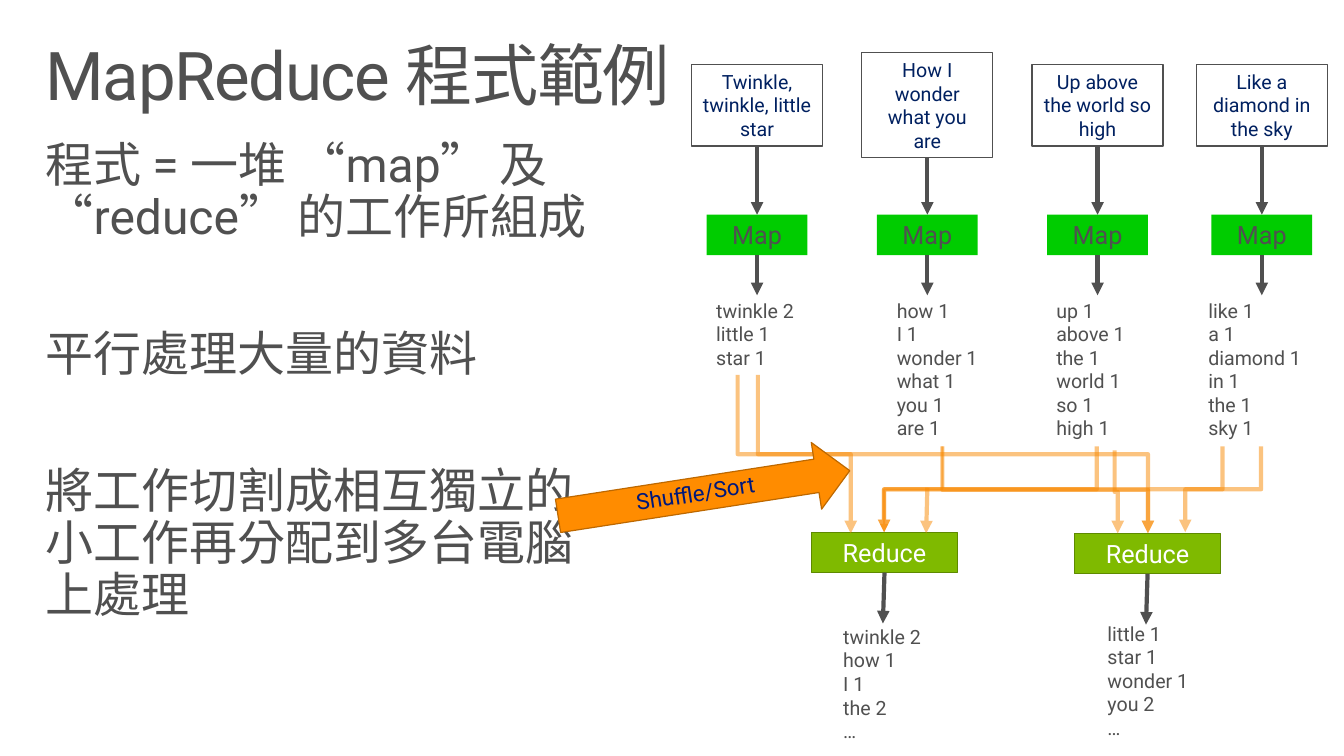
import pptx
import pptx.dml.color
import pptx.enum.lang
import pptx.enum.shapes
import pptx.enum.text
import pptx.oxml
import pptx.oxml.ns
import pptx.util

Cm = pptx.util.Cm
Pt = pptx.util.Pt
ALIGN = pptx.enum.text.PP_ALIGN
ANCHOR = pptx.enum.text.MSO_ANCHOR
SHAPE = pptx.enum.shapes.MSO_SHAPE
CONNECTOR = pptx.enum.shapes.MSO_CONNECTOR

GREY, WHITE, NAVY = "505050", "FFFFFF", "002060"
MAP_GREEN, REDUCE_GREEN, ORANGE = "00CC00", "7FBA00", "F98900"

BOX_WIDTH, BOX_MIDDLE = 3.3, 2.65
MAP_WIDTH, MAP_TOP = 2.54, 5.41
REDUCE_WIDTH, NODE_HEIGHT = 3.68, 1.02
LIST_TOP, LIST_WIDTH = 7.4, 3.3

# Centre, input text, box height, word list left, words
MAPPERS = [
    (19.08, "Twinkle, twinkle, little star", 2.06, 17.8,
     ["twinkle 2", "little 1", "star 1"]),
    (23.37, "How I wonder what you are", 2.64, 22.35,
     ["how 1", "I 1", "wonder 1", "what 1", "you 1", "are 1"]),
    (27.66, "Up above the world so high", 2.06, 26.37,
     ["up 1", "above 1", "the 1", "world 1", "so 1", "high 1"]),
    (31.8, "Like a diamond in the sky", 2.06, 30.2,
     ["like 1", "a 1", "diamond 1", "in 1", "the 1", "sky 1"]),
]

# Centre, top, word list left, word list top, words
REDUCERS = [
    (22.29, 13.41, 21, 15.62,
     ["twinkle 2", "how 1", "I 1", "the 2", "…"]),
    (28.92, 13.44, 27.66, 15.54,
     ["little 1", "star 1", "wonder 1", "you 2", "…"]),
]

# Start x, start y, end x, end y, line width
SHUFFLES = [
    (18.59, 9.45, 21.44, 13.44, 3),
    (19.1, 9.45, 28.93, 13.44, 3),
    (23.75, 11.25, 22.28, 13.41, 1.35),
    (23.75, 11.25, 28.93, 13.44, 3),
    (31.78, 11.25, 22.28, 13.41, 3),
    (30.81, 11.25, 29.87, 13.41, 3),
    (28.09, 11.35, 28.17, 13.44, 3),
    (27.64, 11.25, 22.28, 13.41, 3),
]


def color(value):
    return pptx.dml.color.RGBColor.from_string(value)


def add_child(parent, tag, **attributes):
    child = pptx.oxml.parse_xml(f"<{tag} {pptx.oxml.ns.nsdecls('a')}/>")
    for name, value in attributes.items():
        child.set(name, value)
    parent.append(child)


def add_run(paragraph, text, size, text_color):
    run = paragraph.add_run()
    run.text = text
    run.font.name = "Roboto"
    run.font.size = Pt(size)
    run.font.color.rgb = color(text_color)
    return run


def fill_placeholder(placeholder, box, texts, size, gap=0):
    placeholder.left, placeholder.top, placeholder.width, placeholder.height = map(Cm, box)
    frame = placeholder.text_frame
    frame.auto_size = pptx.enum.text.MSO_AUTO_SIZE.NONE
    frame.vertical_anchor = ANCHOR.TOP
    frame.margin_left = frame.margin_right = Cm(0.41)
    frame.margin_top = frame.margin_bottom = Cm(0.25)
    for index, text in enumerate(texts):
        paragraph = frame.add_paragraph() if index else frame.paragraphs[0]
        properties = paragraph._p.get_or_add_pPr()
        properties.set("marL", "0")
        properties.set("indent", "0")
        add_child(properties, "a:buNone")
        paragraph.alignment = ALIGN.LEFT
        paragraph.line_spacing = 0.9
        paragraph.space_before = Pt(gap if index else 0)
        run = add_run(paragraph, text, size, GREY)
        run.font.language_id = pptx.enum.lang.MSO_LANGUAGE_ID.TRADITIONAL_CHINESE
    return frame


def add_node(slide, kind, box, text, size, text_color, fill, line=None):
    shape = slide.shapes.add_shape(kind, *map(Cm, box))
    shape.shadow.inherit = False
    shape.fill.solid()
    shape.fill.fore_color.rgb = color(fill)
    if line:
        shape.line.color.rgb = color(line)
        shape.line.width = Pt(0.85)
    else:
        shape.line.fill.background()
    frame = shape.text_frame
    frame.word_wrap = True
    frame.vertical_anchor = ANCHOR.MIDDLE
    paragraph = frame.paragraphs[0]
    paragraph.alignment = ALIGN.CENTER
    add_run(paragraph, text, size, text_color)
    return shape


def add_word_list(slide, left, top, words):
    height = 0.28 + 0.59 * len(words)
    box = slide.shapes.add_textbox(Cm(left), Cm(top), Cm(LIST_WIDTH), Cm(height))
    frame = box.text_frame
    frame.word_wrap = True
    for index, word in enumerate(words):
        paragraph = frame.add_paragraph() if index else frame.paragraphs[0]
        add_run(paragraph, word, 14, GREY)


def add_arrow(slide, points, line_color=GREY, width=3, kind=CONNECTOR.STRAIGHT):
    connector = slide.shapes.add_connector(kind, *map(Cm, points))
    connector.line.color.rgb = color(line_color)
    connector.line.width = Pt(width)
    properties = connector.element.spPr
    add_child(properties.find(pptx.oxml.ns.qn("a:ln")), "a:tailEnd", type="triangle")
    add_child(properties, "a:effectLst")
    if line_color == ORANGE:
        add_child(properties.find(".//" + pptx.oxml.ns.qn("a:srgbClr")), "a:alpha", val="50000")
    return connector


def add_shuffle(slide, start_x, start_y, end_x, end_y, width):
    # An elbow that leaves and arrives vertically is a rotated horizontal elbow
    run, drop = abs(end_x - start_x), end_y - start_y
    left = (start_x + end_x - drop) / 2
    top = (start_y + end_y - run) / 2
    connector = add_arrow(slide, (left, top, left + drop, top + run), ORANGE, width,
                          CONNECTOR.ELBOW)
    transform = connector.element.spPr.find(pptx.oxml.ns.qn("a:xfrm"))
    if end_x > start_x:
        transform.set("rot", "16200000")
        transform.set("flipH", "1")
    else:
        transform.set("rot", "5400000")


def add_mapper(slide, center, text, height, list_left, words):
    add_node(slide, SHAPE.RECTANGLE,
             (center - BOX_WIDTH / 2, BOX_MIDDLE - height / 2, BOX_WIDTH, height),
             text, 14, NAVY, WHITE, GREY)
    add_node(slide, SHAPE.RECTANGLE, (center - MAP_WIDTH / 2, MAP_TOP, MAP_WIDTH, NODE_HEIGHT),
             "Map", 18, GREY, MAP_GREEN)
    map_bottom = MAP_TOP + NODE_HEIGHT
    add_arrow(slide, (center, BOX_MIDDLE + height / 2, center, MAP_TOP))
    add_arrow(slide, (center, map_bottom, center, map_bottom + 1.01))
    add_word_list(slide, list_left, LIST_TOP, words)


def add_reducer(slide, center, top, list_left, list_top, words):
    add_node(slide, SHAPE.RECTANGLE, (center - REDUCE_WIDTH / 2, top, REDUCE_WIDTH, NODE_HEIGHT),
             "Reduce", 18, WHITE, REDUCE_GREEN, "5E8A00")
    bottom = top + NODE_HEIGHT
    add_arrow(slide, (center, bottom, center - 0.04, bottom + 1.28))
    add_word_list(slide, list_left, list_top, words)


def main():
    presentation = pptx.Presentation()
    presentation.slide_width, presentation.slide_height = Cm(33.87), Cm(19.05)
    slide = presentation.slides.add_slide(presentation.slide_layouts[1])

    # Title and explanation
    title = fill_placeholder(slide.shapes.title, (0.74, 0.81, 32.39, 2.49),
                             ["MapReduce 程式範例"], 48)
    title.paragraphs[0].runs[0].font._element.set("spc", "-100")
    fill_placeholder(slide.placeholders[1], (0.74, 3.3, 14.94, 12.78),
                     ["程式 = 一堆 “map” 及 “reduce” 的工作所組成",
                      "平行處理大量的資料",
                      "將工作切割成相互獨立的小工作再分配到多台電腦上處理"], 34.3, 61)

    # Map and reduce stages
    for mapper in MAPPERS:
        add_mapper(slide, *mapper)
    for reducer in REDUCERS:
        add_reducer(slide, *reducer)

    # Shuffle stage
    for shuffle in SHUFFLES:
        add_shuffle(slide, *shuffle)
    add_arrow(slide, (23.37, 12.29, 23.34, 13.44), ORANGE)
    arrow = add_node(slide, SHAPE.RIGHT_ARROW, (14.02, 11.58, 7.44, 1.7),
                     "Shuffle/Sort", 16, "00187B", "FF8C00", "BD6800")
    arrow.rotation = 351.2
    arrow.text_frame.paragraphs[0].line_spacing = 0.9

    presentation.save("out.pptx")


if __name__ == "__main__":
    main()
